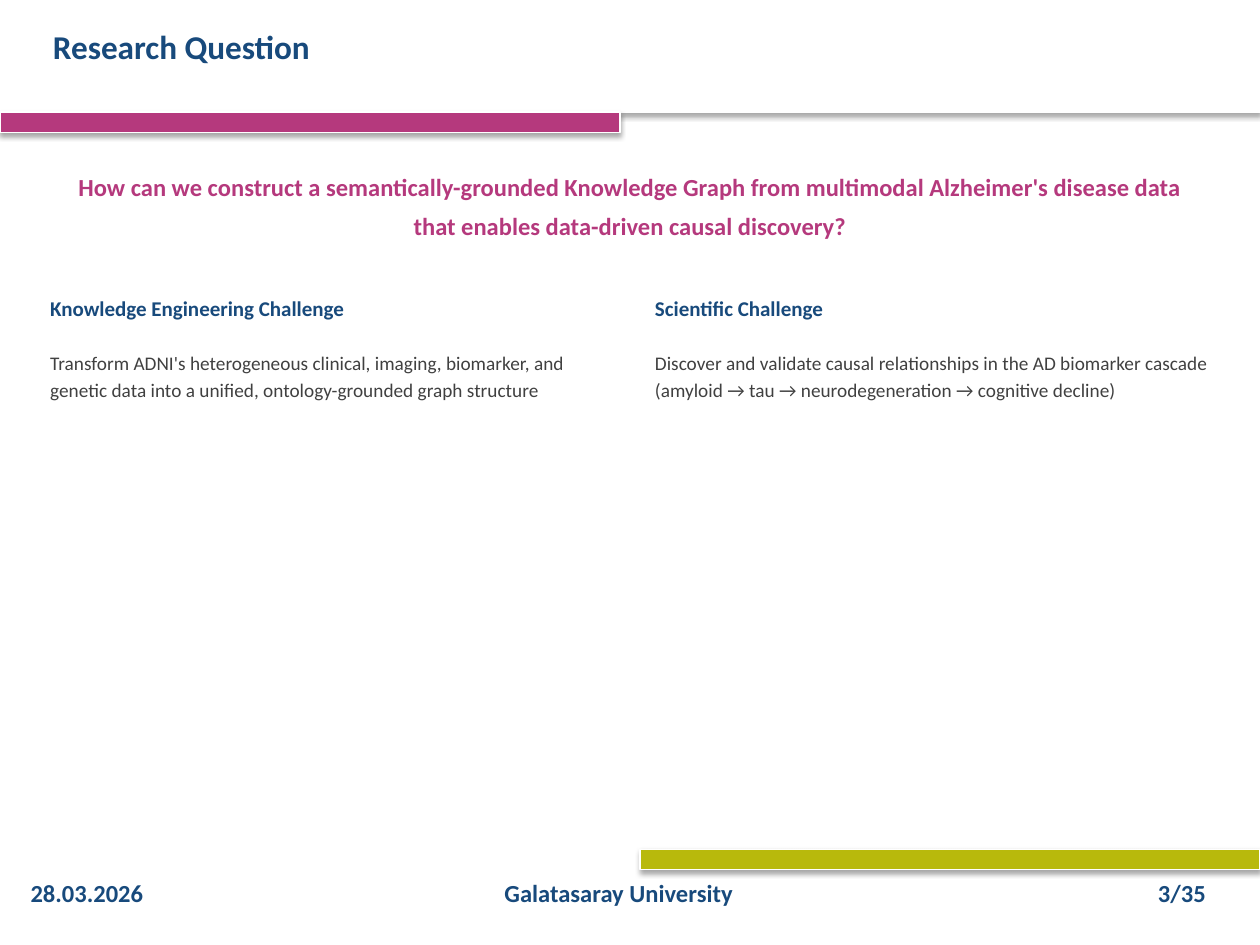
from lxml import etree
from pptx import Presentation
from pptx.dml.color import RGBColor
from pptx.enum.shapes import MSO_SHAPE
from pptx.enum.text import MSO_ANCHOR, MSO_AUTO_SIZE, PP_ALIGN
from pptx.oxml.ns import qn
from pptx.util import Inches, Pt

RECTANGLE = MSO_SHAPE.RECTANGLE
TOP = MSO_ANCHOR.TOP
NO_AUTOFIT = MSO_AUTO_SIZE.NONE
LEFT, CENTER = PP_ALIGN.LEFT, PP_ALIGN.CENTER

FONT = "Calibri"
COLORS = {
    "white": "FFFFFF",
    "navy": "184A7C",
    "magenta": "B5397D",
    "olive": "B8B90C",
    "body": "404040",
    "shadow": "000000",
}

SLIDE_W, SLIDE_H = 10, 7.5
HEADER_H = 0.89
BAR_W, BAR_H = 4.92, 0.16
FOOTER_BAR_TOP = 6.74

QUESTION = (
    "How can we construct a semantically-grounded Knowledge Graph from "
    "multimodal Alzheimer's disease data that enables data-driven causal discovery?"
)
CHALLENGES = [
    ("Knowledge Engineering Challenge",
     "Transform ADNI's heterogeneous clinical, imaging, biomarker, and "
     "genetic data into a unified, ontology-grounded graph structure"),
    ("Scientific Challenge",
     "Discover and validate causal relationships in the AD biomarker cascade "
     "(amyloid → tau → neurodegeneration → cognitive decline)"),
]
FOOTER = [  # left, width, text
    (0, 1.38, "28.03.2026"),
    (3.5, 2.82, "Galatasaray University"),
    (8.79, 1.18, "3/35"),
]


def rgb(name):
    return RGBColor.from_string(COLORS[name])


def add_shadow(shape):
    """Soft shadow falling straight down."""
    shape.shadow.inherit = False
    effects = shape.element.spPr.find(qn("a:effectLst"))
    outer = etree.SubElement(
        effects, qn("a:outerShdw"), blurRad=str(Pt(3.1)), dist=str(Pt(1.8)),
        dir="5400000", rotWithShape="0")
    color = etree.SubElement(outer, qn("a:srgbClr"), val=COLORS["shadow"])
    etree.SubElement(color, qn("a:alpha"), val="35000")


def add_band(slide, left, top, width, height, color):
    band = slide.shapes.add_shape(
        RECTANGLE, Inches(left), Inches(top), Inches(width), Inches(height))
    band.fill.solid()
    band.fill.fore_color.rgb = rgb(color)
    band.line.color.rgb = rgb("white")
    band.line.width = Pt(0.75)
    add_shadow(band)


def write(frame, text, size, color, bold=True, align=LEFT, spacing=1.0):
    frame.word_wrap = True
    frame.auto_size = NO_AUTOFIT
    frame.vertical_anchor = TOP
    paragraph = frame.paragraphs[0]
    paragraph.alignment = align
    paragraph.line_spacing = spacing
    run = paragraph.add_run()
    run.text = text
    run.font.name = FONT
    run.font.size = Pt(size)
    run.font.bold = bold
    run.font.color.rgb = rgb(color)


def add_text(slide, left, top, width, height, *content, **style):
    box = slide.shapes.add_textbox(
        Inches(left), Inches(top), Inches(width), Inches(height))
    write(box.text_frame, *content, **style)


def add_header(slide, left, top, width, height):
    add_band(slide, left, top, width, height, "white")
    add_band(slide, left, top + height, BAR_W, BAR_H, "magenta")
    title = slide.shapes.title
    title.left, title.top = Inches(left + 0.32), Inches(top + 0.16)
    title.width, title.height = Inches(6.94), Inches(0.48)
    write(title.text_frame, "Research Question", 19, "navy")
    # Bring the title in front of the header band
    title.element.getparent().append(title.element)


def add_challenge(slide, left, top, width, heading, description):
    add_text(slide, left, top, width, 0.3, heading, 12, "navy")
    add_text(slide, left, top + 0.4, width, 2.5, description, 11, "body",
             bold=False, spacing=1.2)


def add_footer(slide, left, top, width):
    add_band(slide, left + width - BAR_W, top, BAR_W, BAR_H, "olive")
    for offset, item_width, text in FOOTER:
        add_text(slide, left + offset, top + 0.18, item_width, 0.43,
                 text, 14, "navy", align=CENTER)


def main():
    prs = Presentation()
    prs.slide_width, prs.slide_height = Inches(SLIDE_W), Inches(SLIDE_H)
    slide = prs.slides.add_slide(prs.slide_layouts[5])

    add_header(slide, 0, 0, SLIDE_W, HEADER_H)

    # Central question
    add_text(slide, 0.5, 1.25, 9, 1.2, QUESTION, 14, "magenta",
             align=CENTER, spacing=1.3)

    # Two challenge columns
    column_w, gap = 4.6, 0.2
    for column, (heading, description) in enumerate(CHALLENGES):
        add_challenge(slide, 0.3 + column * (column_w + gap), 2.3, column_w,
                      heading, description)

    add_footer(slide, 0, FOOTER_BAR_TOP, SLIDE_W)
    prs.save("out.pptx")


if __name__ == "__main__":
    main()
